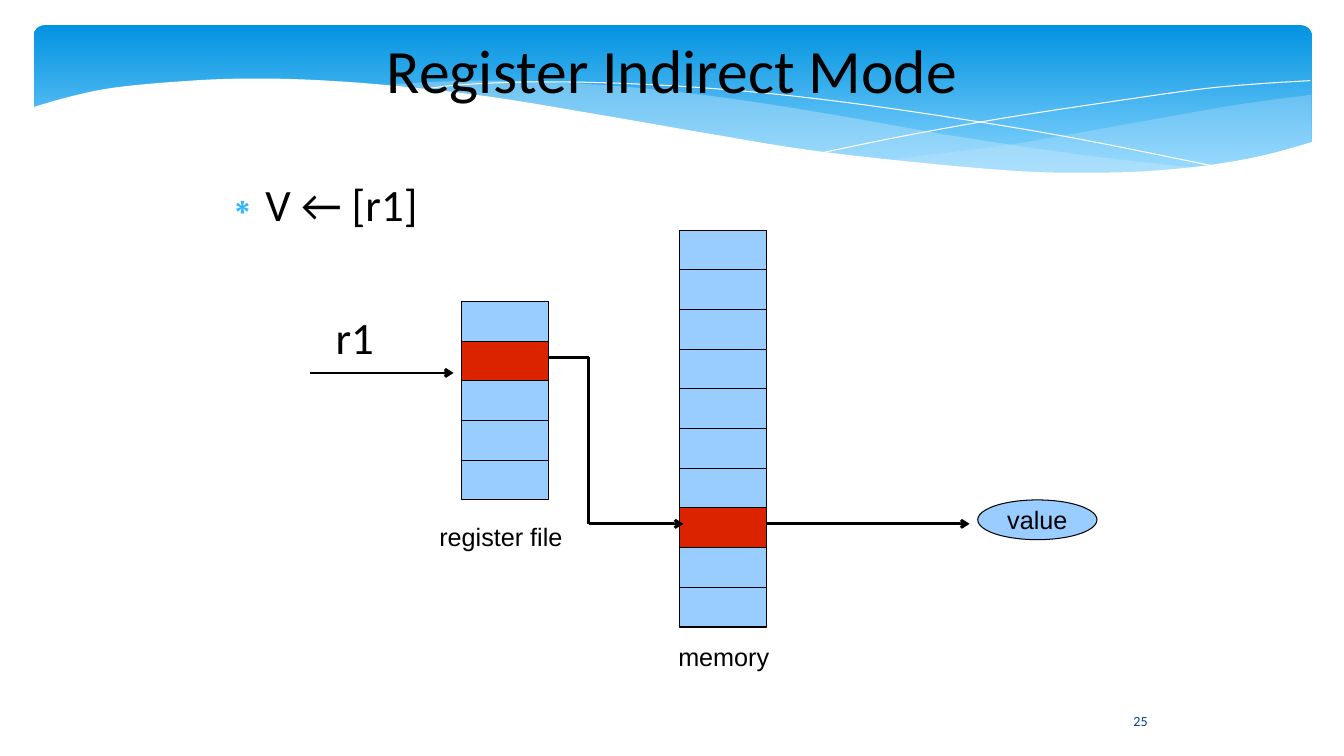
import pptx
import pptx.util
import pptx.dml.color
import pptx.enum.shapes
import pptx.enum.text
import pptx.oxml.ns
import lxml.etree
from dataclasses import dataclass
from typing import Any

Pt = pptx.util.Pt
Kind = pptx.enum.shapes.MSO_SHAPE
Align = pptx.enum.text.PP_ALIGN
Anchor = pptx.enum.text.MSO_ANCHOR
Point = tuple[float, float]

HUES = {
    "sky": "0293E0", "pale": "83D3FE", "mist": "C6E7FC", "white": "FFFFFF",
    "black": "000000", "cell": "99CCFF", "hot": "DC2300",
    "star": "31B6FD", "navy": "073E87",
}


@dataclass
class Wave:
    knots: list[Point]
    ends: list[Point]
    fill: str = ""
    alpha: int = 100


@dataclass
class Stack:
    left: float
    top: float
    count: int
    hot: int


@dataclass
class Line:
    start: Point
    end: Point
    arrow: bool = False


@dataclass
class Label:
    text: str
    box: tuple[float, float, float, float]
    size: float
    font: str
    hue: str = "black"
    align: Any = Align.LEFT
    anchor: Any = Anchor.TOP
    pad: tuple[float, float] = (0, 0)
    wrap: bool = True
    hang: Point = (0, 0)


CELL_W, CELL_H = 62.4, 28.35

WAVES = [
    Wave([(936.7, 67.7), (883.4, 74.9), (825.8, 85), (723.6, 103), (635, 115.2),
          (689.8, 120.2), (749.5, 123.8), (801.4, 123.8), (853.9, 119.5),
          (897.8, 112.3), (936.7, 102.2)], [(936.7, 67.7)], "mist", 29),
    Wave([(856.8, 120.2), (774.7, 110.9), (677.5, 96.5), (604.1, 83.5), (532.8, 72),
          (469.4, 64.1), (403.2, 59), (347, 57.6), (301, 59), (275, 61.9),
          (328.3, 67.7), (388.1, 76.3), (431.3, 83.5), (508.3, 97.2), (577.4, 108),
          (653, 117.4), (718.6, 122.4), (774.7, 124.6), (814.3, 123.8),
          (856.8, 120.2)], [], "mist", 40),
    Wave([(296.6, 64.8), (321.8, 61.2), (359.3, 59), (399.6, 58.5), (450, 59.8),
          (511.2, 63.4), (583.9, 70.6), (667.4, 82.1), (763.2, 97.9),
          (871.2, 119.5)], []),
    Wave([(589, 108.7), (645.1, 97.2), (717.8, 84.2), (802.8, 71.3), (859.7, 63.4),
          (900, 59.8), (936, 57.6)], []),
    Wave([(938, 101.2), (902.9, 110.9), (862.6, 118.1), (816.5, 122.4), (776.2, 123.3),
          (730.8, 122.4), (661, 116.6), (578.9, 107.3), (508.3, 95.8), (429.1, 82.1),
          (349.9, 69.1), (280.8, 61.2), (220.3, 56.9), (169.2, 56.2), (126.7, 58.3),
          (81.4, 62.6), (49.7, 69.1), (22.3, 77)], [(22.3, 161), (938, 161)], "white"),
]
STACKS = [Stack(329.5, 215.4, 5, 1), Stack(485.4, 164.4, 10, 7)]
LINES = [
    Line((221.8, 266.4), (324, 266.4), True),
    Line((391.9, 255.1), (420.5, 255.1)),
    Line((420.5, 255.1), (420.5, 374.2)),
    Line((420.5, 374.2), (488.2, 374.2), True),
    Line((547.8, 374.2), (692.6, 374.2), True),
]
TITLE = Label("Register Indirect Mode", (138.2, 12.2, 684, 73.4), 44, "Calibri",
              align=Align.CENTER, anchor=Anchor.MIDDLE)
BODY = Label("V ← [r1]", (141.8, 126, 584, 55.4), 32, "Calibri",
             pad=(7.2, 0), hang=(33.84, -25.2))
NOTES = [
    Label("25", (792.7, 500.4, 43.9, 28.8), 10, "Calibri", "navy",
          Align.CENTER, Anchor.MIDDLE, (7.2, 3.6)),
    Label("r1", (231.1, 221, 75.6, 38.9), 32, "Calibri", hang=(33.84, -25.2)),
    Label("register file", (306.7, 368.6, 103, 28.1), 18, "Arial", pad=(7.2, 3.6), wrap=False),
    Label("memory", (477.4, 454.3, 79.9, 28.1), 18, "Arial", pad=(7.2, 3.6), wrap=False),
]
VALUE = Label("value", (698.4, 357.1, 85.2, 28.4), 18, "Arial", align=Align.CENTER,
              anchor=Anchor.MIDDLE, pad=(7.2, 3.6), wrap=False)


def shade(key: str) -> pptx.dml.color.RGBColor:
    return pptx.dml.color.RGBColor.from_string(HUES[key])


def add(parent: Any, tag: str, **attrs: str) -> Any:
    return lxml.etree.SubElement(parent, pptx.oxml.ns.qn(tag), attrs)


def paint(shape: Any, fill: str, edge: str = "") -> None:
    shape.shadow.inherit = False
    if fill:
        shape.fill.solid()
        shape.fill.fore_color.rgb = shade(fill)
    else:
        shape.fill.background()
    if edge:
        shape.line.color.rgb = shade(edge)
        shape.line.width = Pt(0)
    else:
        shape.line.fill.background()


def smooth(knots: list[Point], steps: int = 5) -> list[Point]:
    ring = [knots[0], *knots, knots[-1]]
    curve = [knots[0]]
    for a, b, c, d in zip(ring, ring[1:], ring[2:], ring[3:]):
        for step in range(1, steps + 1):
            t = step / steps
            x, y = (b[i] + t * (c[i] - a[i]) / 2
                    + t * t * (2 * a[i] - 5 * b[i] + 4 * c[i] - d[i]) / 2
                    + t ** 3 * (3 * b[i] - a[i] - 3 * c[i] + d[i]) / 2 for i in (0, 1))
            curve.append((x, y))
    return curve


def draw_wave(shapes: Any, wave: Wave) -> None:
    dots = [(Pt(x), Pt(y)) for x, y in smooth(wave.knots) + wave.ends]
    pen = shapes.build_freeform(*dots[0])
    pen.add_line_segments(dots[1:], close=bool(wave.fill))
    shape = pen.convert_to_shape()
    paint(shape, wave.fill, "" if wave.fill else "white")
    if wave.alpha < 100:
        for tint in shape.element.spPr.iter(pptx.oxml.ns.qn("a:srgbClr")):
            add(tint, "a:alpha", val=str(wave.alpha * 1000))


def draw_band(shapes: Any) -> None:
    band = shapes.add_shape(Kind.ROUNDED_RECTANGLE, Pt(24), Pt(18), Pt(913), Pt(112.3))
    band.adjustments[0] = 0.07
    paint(band, "")
    band.fill.gradient()
    band.fill.gradient_angle = 270
    for stop, key, place in zip(band.fill.gradient_stops, ("sky", "pale"), (0, 0.9)):
        stop.color.rgb = shade(key)
        stop.position = place


def draw_stack(shapes: Any, stack: Stack) -> None:
    for row in range(stack.count):
        cell = shapes.add_shape(Kind.RECTANGLE, Pt(stack.left), Pt(stack.top + row * CELL_H),
                                Pt(CELL_W), Pt(CELL_H))
        paint(cell, "hot" if row == stack.hot else "cell", "black")


def draw_line(shapes: Any, line: Line) -> None:
    ends = [Pt(v) for v in line.start + line.end]
    wire = shapes.add_connector(pptx.enum.shapes.MSO_CONNECTOR.STRAIGHT, *ends)
    wire.line.color.rgb = shade("black")
    wire.line.width = Pt(0)
    if line.arrow:
        add(wire.line._get_or_add_ln(), "a:tailEnd", type="arrow")
    add(wire.element.spPr, "a:effectLst")


def write(shape: Any, label: Label) -> Any:
    shape.left, shape.top, shape.width, shape.height = (Pt(v) for v in label.box)
    frame = shape.text_frame
    frame.text = label.text
    frame.auto_size = pptx.enum.text.MSO_AUTO_SIZE.NONE
    frame.word_wrap = label.wrap
    frame.vertical_anchor = label.anchor
    frame.margin_left = frame.margin_right = Pt(label.pad[0])
    frame.margin_top = frame.margin_bottom = Pt(label.pad[1])
    para = frame.paragraphs[0]
    para.alignment = label.align
    para.space_before = Pt(0)
    props = para._p.get_or_add_pPr()
    props.set("marL", str(Pt(label.hang[0])))
    props.set("indent", str(Pt(label.hang[1])))
    font = para.runs[0].font
    font.size, font.name = Pt(label.size), label.font
    font.color.rgb = shade(label.hue)
    return props


def main() -> None:
    deck = pptx.Presentation()
    deck.slide_width, deck.slide_height = Pt(960), Pt(540)
    slide = deck.slides.add_slide(deck.slide_layouts[1])
    shapes = slide.shapes
    title, body = shapes.title, slide.placeholders[1]
    draw_band(shapes)
    for wave in WAVES:
        draw_wave(shapes, wave)
    for holder in (title, body):
        holder.element.getparent().append(holder.element)
    write(title, TITLE)
    props = write(body, BODY)
    add(add(props, "a:buClr"), "a:srgbClr", val=HUES["star"])
    add(props, "a:buChar", char="∗")
    for stack in STACKS:
        draw_stack(shapes, stack)
    for line in LINES:
        draw_line(shapes, line)
    for note in NOTES:
        write(shapes.add_textbox(0, 0, 0, 0), note)
    oval = shapes.add_shape(Kind.OVAL, 0, 0, 0, 0)
    paint(oval, "cell", "black")
    write(oval, VALUE)
    deck.save("out.pptx")


if __name__ == "__main__":
    main()
